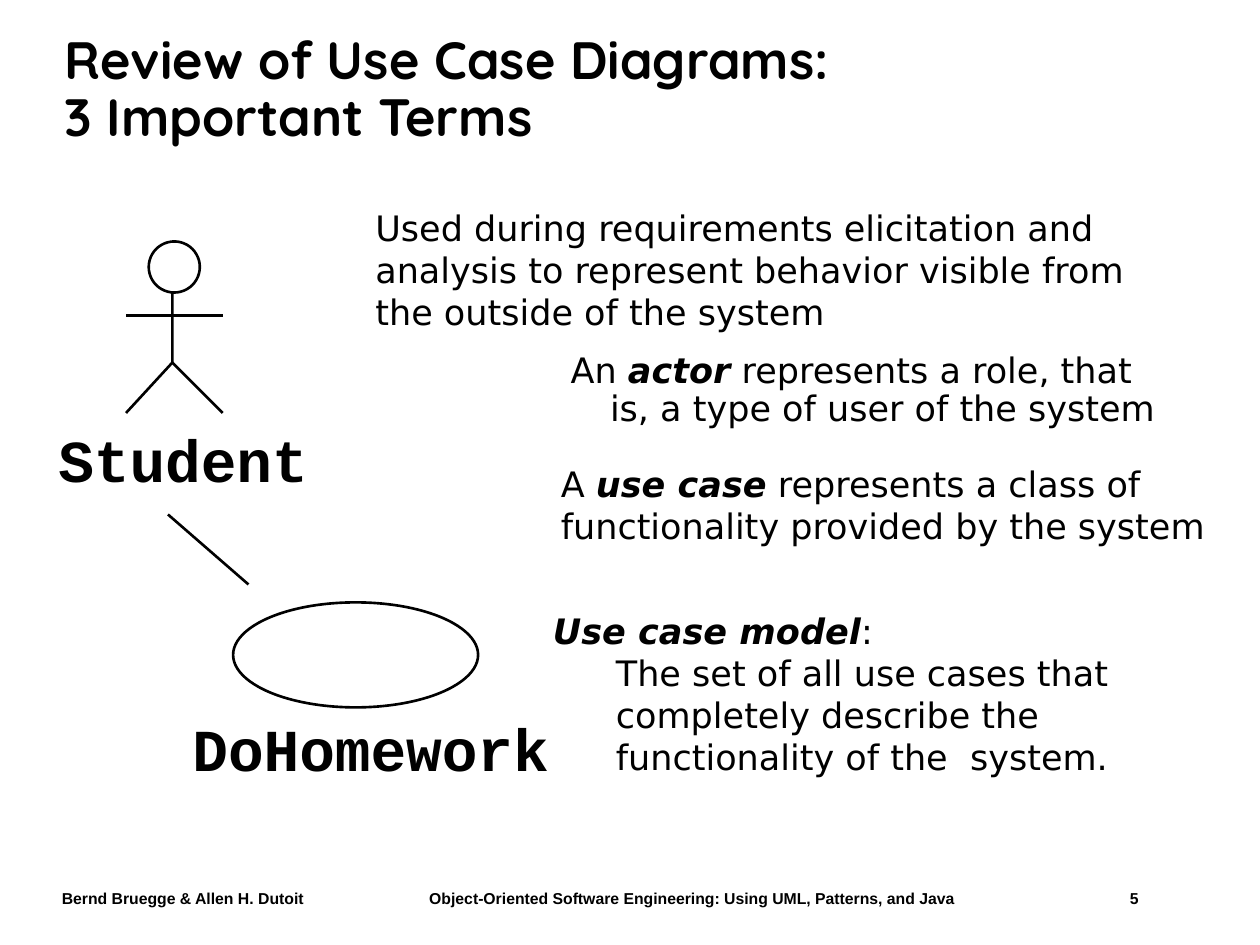
from dataclasses import dataclass

from lxml.etree import SubElement
from pptx import Presentation
from pptx.dml.color import RGBColor
from pptx.enum.shapes import MSO_CONNECTOR, MSO_SHAPE
from pptx.enum.text import MSO_ANCHOR, MSO_AUTO_SIZE
from pptx.oxml.ns import qn
from pptx.util import Pt


@dataclass(frozen=True)
class Theme:
    ink: RGBColor = RGBColor(0, 0, 0)
    paper: RGBColor = RGBColor(255, 255, 255)
    title_font: str = "Quicksand"
    body_font: str = "DejaVu Sans"
    label_font: str = "Courier New"
    footer_font: str = "Arial"
    title_size: float = 30
    body_size: float = 20
    label_size: float = 34
    footer_size: float = 9
    line_width: float = 1.5


THEME = Theme()


def add_text_frame(shapes, left, top, width, height):
    textbox = shapes.add_textbox(Pt(left), Pt(top), Pt(width), Pt(height))
    frame = textbox.text_frame
    frame.word_wrap = True
    return frame


def style_paragraph(paragraph, name, size, bold=None):
    font = paragraph.font
    font.name, font.size, font.bold = name, Pt(size), bold
    font.color.rgb = THEME.ink


def indent_paragraph(paragraph, left, first=0):
    properties = paragraph._p.get_or_add_pPr()
    properties.set("marL", str(Pt(left)))
    properties.set("indent", str(Pt(first)))


def add_tabs(paragraph, positions):
    tabs = SubElement(paragraph._p.get_or_add_pPr(), qn("a:tabLst"))
    for position in positions:
        SubElement(tabs, qn("a:tab"), pos=str(Pt(position)), algn="l")


def add_definition(shapes, box, before, term="", after=""):
    """Body text with an emphasised term in the middle."""
    frame = add_text_frame(shapes, *box)
    paragraph = frame.paragraphs[0]
    for text, emphasised in ((before, False), (term, True), (after, False)):
        if text:
            run = paragraph.add_run()
            run.text = text
            run.font.bold = run.font.italic = emphasised
    style_paragraph(paragraph, THEME.body_font, THEME.body_size)
    return frame


def add_label(shapes, text, left, top, width, height):
    frame = add_text_frame(shapes, left, top, width, height)
    frame.word_wrap = False
    frame.auto_size = MSO_AUTO_SIZE.SHAPE_TO_FIT_TEXT
    frame.margin_left = frame.margin_right = 0
    frame.margin_top = frame.margin_bottom = 0
    paragraph = frame.paragraphs[0]
    paragraph.text = text
    style_paragraph(paragraph, THEME.label_font, THEME.label_size, True)


def style_line(line):
    line.color.rgb = THEME.ink
    line.width = Pt(THEME.line_width)


def add_line(shapes, start, end):
    connector = shapes.add_connector(
        MSO_CONNECTOR.STRAIGHT, *(Pt(value) for value in (*start, *end)))
    style_line(connector.line)
    SubElement(connector._element.spPr, qn("a:effectLst"))


def add_ellipse(shapes, left, top, width, height, filled=False):
    ellipse = shapes.add_shape(
        MSO_SHAPE.OVAL, Pt(left), Pt(top), Pt(width), Pt(height))
    ellipse.shadow.inherit = False
    if filled:
        ellipse.fill.solid()
        ellipse.fill.fore_color.rgb = THEME.paper
    else:
        ellipse.fill.background()
    style_line(ellipse.line)


def add_open_path(shapes, points):
    start, *others = [(Pt(x), Pt(y)) for x, y in points]
    builder = shapes.build_freeform(*start)
    builder.add_line_segments(others, close=False)
    shape = builder.convert_to_shape()
    shape.shadow.inherit = False
    shape.fill.background()
    style_line(shape.line)


def add_title(shapes, first_line, second_line):
    frame = add_text_frame(shapes, 30, 18, 642, 68)
    frame.vertical_anchor = MSO_ANCHOR.MIDDLE
    paragraph = frame.paragraphs[0]
    paragraph.add_run().text = first_line
    paragraph.add_line_break()
    paragraph.add_run().text = second_line
    paragraph.line_spacing = 0.9
    style_paragraph(paragraph, THEME.title_font, THEME.title_size, True)


def add_footer(shapes, *parts):
    frame = add_text_frame(shapes, 28.2, 504.3, 660, 18)
    paragraph = frame.paragraphs[0]
    paragraph.text = "\t".join(parts)
    add_tabs(paragraph, (210, 610.3))
    style_paragraph(paragraph, THEME.footer_font, THEME.footer_size, True)


def add_actor(shapes, name):
    hip, left_foot, right_foot = (98.5, 207.2), (72, 236), (127.3, 236)
    add_open_path(shapes, [(hip[0], 158.4), hip, left_foot])
    add_line(shapes, hip, right_foot)
    add_line(shapes, (left_foot[0], 180.3), (right_foot[0], 180.3))
    add_ellipse(shapes, 85, 138, 29.2, 29.2, filled=True)
    add_label(shapes, name, 33.3, 241.6, 146, 41)


def add_use_case(shapes, name):
    add_ellipse(shapes, 133.2, 344.2, 140, 60)
    add_label(shapes, name, 110, 406.8, 208, 41)
    add_line(shapes, (96, 294), (142, 334))


def main():
    presentation = Presentation()
    presentation.slide_width, presentation.slide_height = Pt(720), Pt(540)
    slide = presentation.slides.add_slide(presentation.slide_layouts[6])
    shapes = slide.shapes

    # Footer and title
    add_footer(shapes, "Bernd Bruegge & Allen H. Dutoit",
               "Object-Oriented Software Engineering: Using UML, Patterns, and Java",
               "5")
    add_title(shapes, "Review of Use Case Diagrams:", "3 Important Terms")

    # Diagram: actor and use case
    add_actor(shapes.add_group_shape().shapes, "Student")
    add_use_case(shapes.add_group_shape().shapes, "DoHomework")

    # Purpose and the three terms
    add_definition(shapes, (207.4, 114.5, 477.4, 77),
                   "Used during requirements elicitation and analysis to "
                   "represent behavior visible from the outside of the system")
    actor = add_definition(shapes, (319, 198.3, 352.8, 63.4), "An ", "actor",
                           " represents a role, that is, a type of user of the system")
    actor.paragraphs[0].line_spacing = 0.9
    indent_paragraph(actor.paragraphs[0], 22.5, -22.5)
    add_definition(shapes, (313.4, 261, 383.8, 72), "A ", "use case",
                   " represents a class of functionality provided by the system")
    model = add_definition(shapes, (308.9, 345, 386.6, 147), "",
                           "Use case model", ":")
    detail = model.add_paragraph()
    detail.text = ("The set of all use cases that completely describe the "
                   "functionality of the  system.")
    detail.level = 1
    indent_paragraph(detail, 36)
    style_paragraph(detail, THEME.body_font, THEME.body_size)

    presentation.save("out.pptx")


if __name__ == "__main__":
    main()
